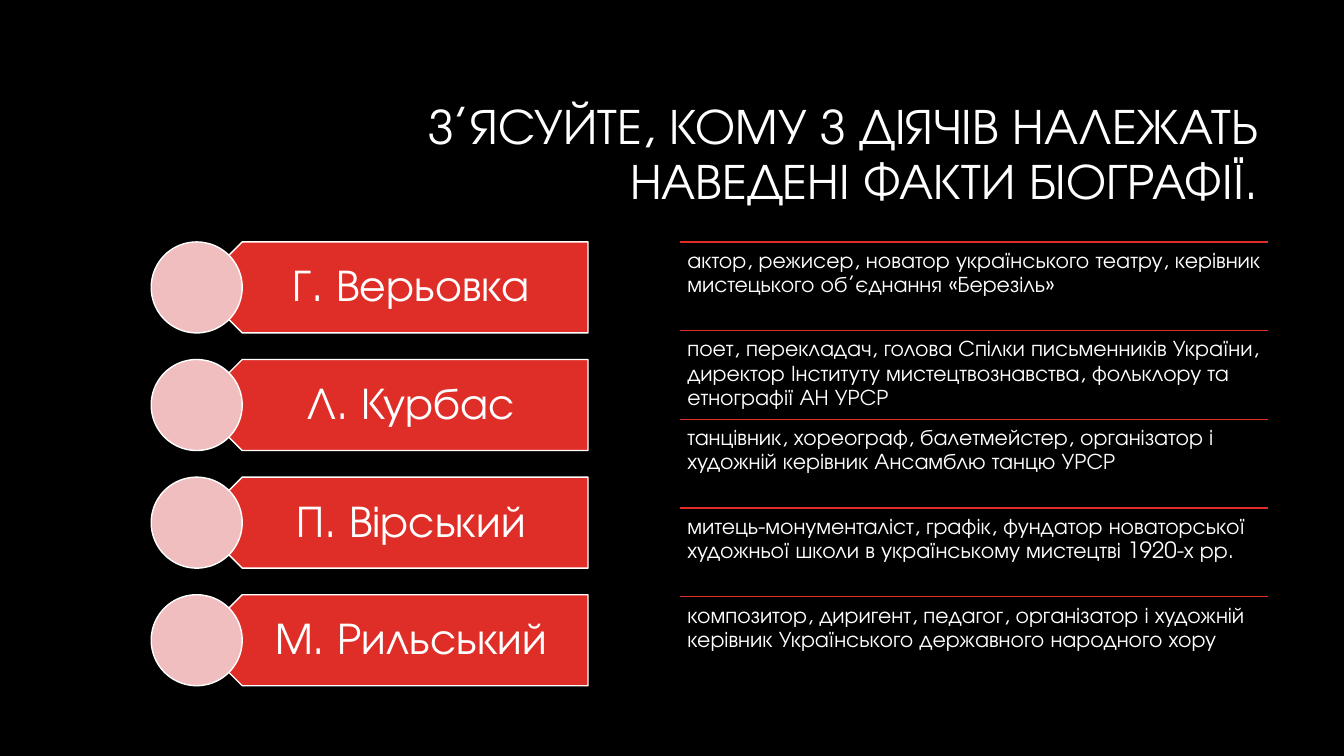
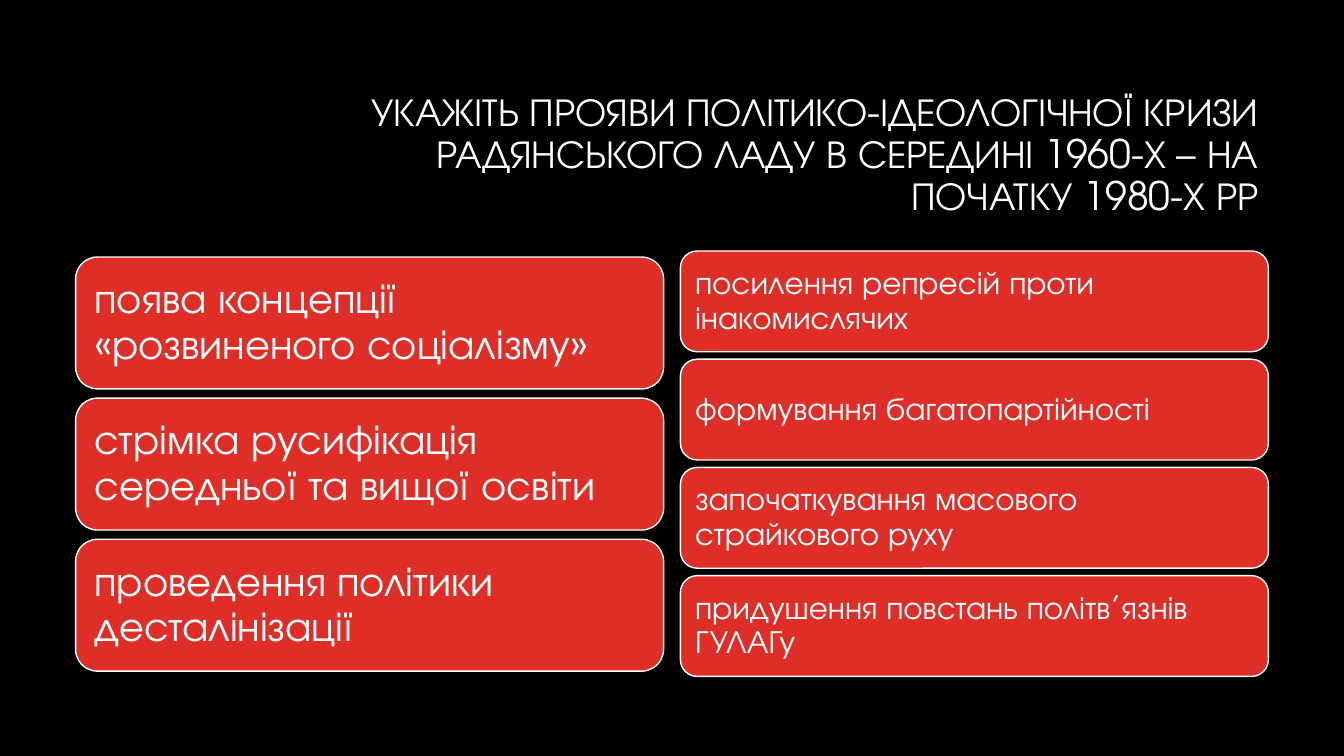
import pptx
import pptx.dml.color
import pptx.enum.shapes
import pptx.enum.text
import pptx.util
from lxml import etree

Pt = pptx.util.Pt
SHAPE = pptx.enum.shapes.MSO_SHAPE
ALIGN = pptx.enum.text.PP_ALIGN
ANCHOR = pptx.enum.text.MSO_ANCHOR

FONT = "TeX Gyre Adventor"
BLACK, WHITE, RED, PINK = "000000", "FFFFFF", "DF2E28", "F0BEBE"
LEFT_X, RIGHT_X, COLUMN_W = 54, 486, 420


def color(hex_code):
    return pptx.dml.color.RGBColor.from_string(hex_code)


def write(shape, text, size, align=ALIGN.LEFT, anchor=ANCHOR.MIDDLE, insets=(7.2, 3.6)):
    """Put white text in a shape; insets are horizontal and vertical, or all four sides."""
    left, top, right, bottom = insets if len(insets) == 4 else insets * 2
    tf = shape.text_frame
    tf.word_wrap = True
    tf.vertical_anchor = anchor
    tf.margin_left, tf.margin_top = Pt(left), Pt(top)
    tf.margin_right, tf.margin_bottom = Pt(right), Pt(bottom)
    p = tf.paragraphs[0]
    p.text = text
    p.alignment = align
    p.line_spacing = 0.9
    font = p.runs[0].font
    font.name, font.size, font.color.rgb = FONT, Pt(size), color(WHITE)


def add_text(s, x, y, w, h, text, size, **style):
    write(s.shapes.add_textbox(Pt(x), Pt(y), Pt(w), Pt(h)), text, size, **style)


def add_block(s, kind, x, y, w, h, fill=RED):
    sp = s.shapes.add_shape(kind, Pt(x), Pt(y), Pt(w), Pt(h))
    sp.shadow.inherit = False
    sp.fill.solid()
    sp.fill.fore_color.rgb = color(fill)
    sp.line.color.rgb = color(WHITE)
    sp.line.width = Pt(1)
    return sp


def add_rule(s, x, y, w):
    rule = s.shapes.add_connector(pptx.enum.shapes.MSO_CONNECTOR.STRAIGHT,
                                  Pt(x), Pt(y), Pt(x + w), Pt(y))
    rule.line.color.rgb = color(RED)
    rule.line.width = Pt(1)
    etree.SubElement(rule._element.spPr, pptx.oxml.ns.qn("a:effectLst"))


def add_slide(prs, title, size):
    s = prs.slides.add_slide(prs.slide_layouts[6])
    s.background.fill.solid()
    s.background.fill.fore_color.rgb = color(BLACK)
    add_text(s, 228, 60.5, 678, 101.5, title, size, align=ALIGN.RIGHT)
    return s


def add_name_list(s, x, y, w, names, height=65, pitch=84):
    """Stack left-pointing name tags, each with a disc over its point."""
    radius = height / 2
    for i, name in enumerate(names):
        top = y + i * pitch
        tag = add_block(s, SHAPE.PENTAGON, x + radius, top, w - radius, height)
        tag.rotation = 180
        add_text(s, x + 1.5 * radius, top, w - 1.5 * radius, height, name, 32,
                 align=ALIGN.CENTER, insets=(28.8, 9.4, 18, 9.4))
        add_block(s, SHAPE.OVAL, x, top, height, height, PINK)


def add_ruled_list(s, x, y, w, facts, pitch=63.36):
    for i, fact in enumerate(facts):
        top = y + i * pitch
        add_rule(s, x, top, w)
        add_text(s, x, top, w, pitch, fact, 16, anchor=ANCHOR.TOP, insets=(5, 5))


def add_card_list(s, x, y, w, height, gap, texts, size, inset):
    for i, text in enumerate(texts):
        card = add_block(s, SHAPE.ROUNDED_RECTANGLE, x, y + i * (height + gap), w, height)
        write(card, text, size, insets=(inset, inset))


def build_matching_slide(prs):
    s = add_slide(prs, "З’ЯСУЙТЕ, КОМУ З ДІЯЧІВ НАЛЕЖАТЬ НАВЕДЕНІ ФАКТИ БІОГРАФІЇ.", 36)
    add_name_list(s, 108, 172.8, 312, [
        "Г. Верьовка", "Л. Курбас", "П. Вірський", "М. Рильський"])
    add_ruled_list(s, RIGHT_X, 172.8, COLUMN_W, [
        "актор, режисер, новатор українського театру, керівник мистецького "
        "об’єднання «Березіль»",
        "поет, перекладач, голова Спілки письменників України, директор "
        "Інституту мистецтвознавства, фольклору та етнографії АН УРСР",
        "танцівник, хореограф, балетмейстер, організатор і художній керівник "
        "Ансамблю танцю УРСР",
        "митець-монументаліст, графік, фундатор новаторської художньої школи "
        "в українському мистецтві 1920-х рр.",
        "композитор, диригент, педагог, організатор і художній керівник "
        "Українського державного народного хору"])


def build_crisis_slide(prs):
    s = add_slide(prs, "УКАЖІТЬ ПРОЯВИ ПОЛІТИКО-ІДЕОЛОГІЧНОЇ КРИЗИ РАДЯНСЬКОГО ЛАДУ "
                       "В СЕРЕДИНІ 1960-Х – НА ПОЧАТКУ 1980-Х РР", 28)
    add_card_list(s, LEFT_X, 183.6, COLUMN_W, 94.2, 6.6, [
        "поява концепції «розвиненого соціалізму»",
        "стрімка русифікація середньої та вищої освіти",
        "проведення політики десталінізації"], 30, 9)
    add_card_list(s, RIGHT_X, 179.3, COLUMN_W, 72, 5.3, [
        "посилення репресій проти інакомислячих",
        "формування багатопартійності",
        "започаткування масового страйкового руху",
        "придушення повстань політв’язнів ГУЛАГу"], 23, 7)


def main():
    prs = pptx.Presentation()
    prs.slide_width, prs.slide_height = Pt(960), Pt(540)
    build_matching_slide(prs)
    build_crisis_slide(prs)
    prs.save("out.pptx")


if __name__ == "__main__":
    main()
